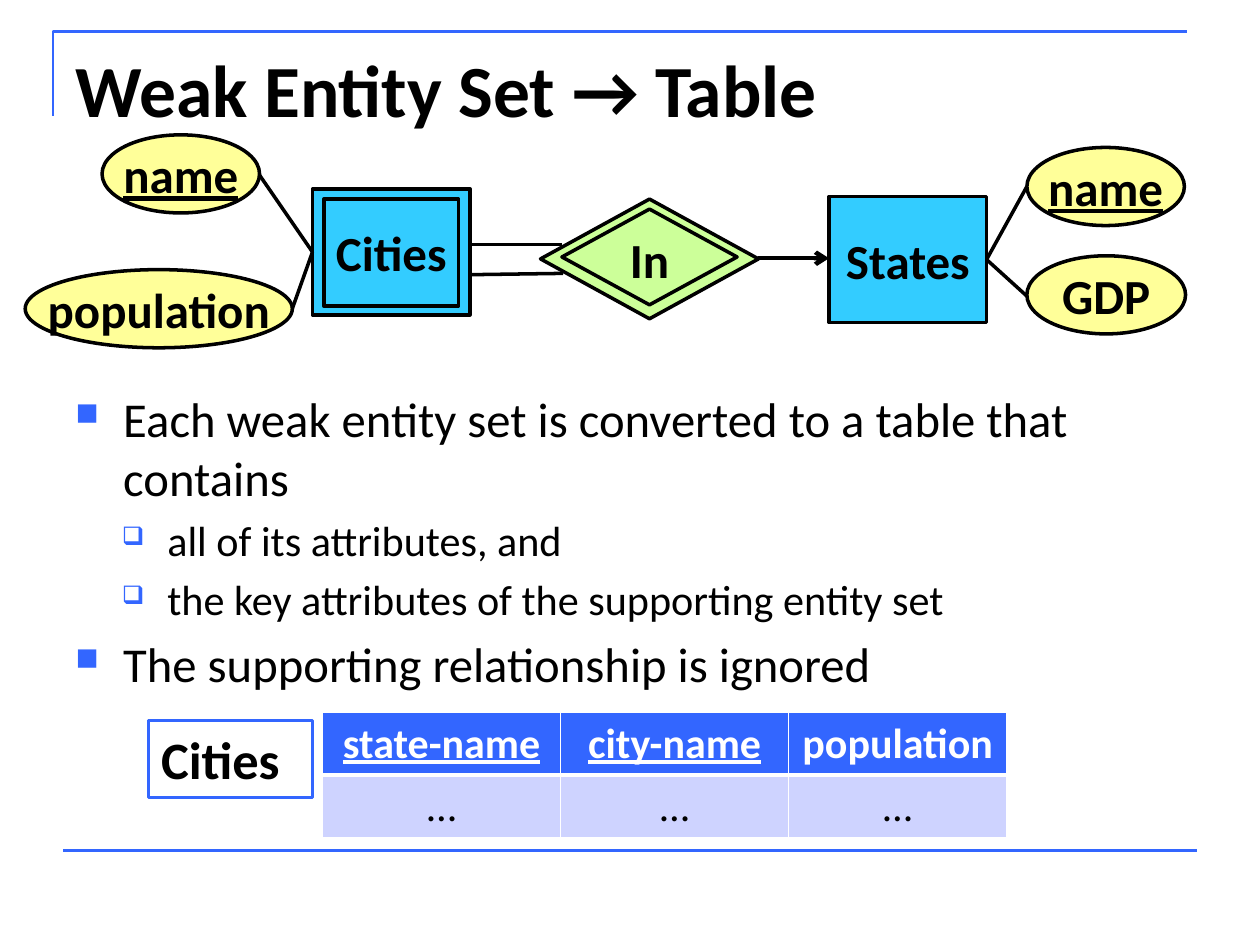
"""Build the slide on converting a weak entity set to a table."""
from lxml.etree import SubElement
from pptx import Presentation
from pptx.dml.color import RGBColor
from pptx.enum.shapes import MSO_CONNECTOR, MSO_SHAPE
from pptx.enum.text import MSO_ANCHOR, PP_ALIGN
from pptx.oxml.ns import qn
from pptx.util import Inches, Pt

BLUE, BLACK, WHITE = "3366FF", "000000", "FFFFFF"
CYAN, YELLOW, GREEN, LAVENDER = "33CCFF", "FFFF99", "CCFF99", "CED3FF"
FONT = "Calibri"

TITLE = "Weak Entity Set → Table"
BULLETS = [
    (0, "Each weak entity set is converted to a table that contains"),
    (1, "all of its attributes, and"),
    (1, "the key attributes of the supporting entity set"),
    (0, "The supporting relationship is ignored"),
]
LEVELS = [
    dict(mark="■", mark_size=65, left=0.38, hang=0.38, size=27.8, before=5.6),
    dict(mark="❑", mark_size=60, left=0.73, hang=0.36, size=24.1, before=4.8),
]
RECT, OVAL, DIAMOND = MSO_SHAPE.RECTANGLE, MSO_SHAPE.OVAL, MSO_SHAPE.DIAMOND
DIAGRAM = [
    (RECT, (2.48, 1.5, 1.25, 1), CYAN, "Cities", False),
    (OVAL, (0.81, 1.07, 1.25, 0.62), YELLOW, "name", True),
    (OVAL, (0.2, 2.14, 2.12, 0.62), YELLOW, "population", False),
    (RECT, (2.57, 1.58, 1.07, 0.85), None, "", False),
    (RECT, (6.58, 1.56, 1.25, 1), CYAN, "States", False),
    (OVAL, (8.15, 1.17, 1.25, 0.62), YELLOW, "name", True),
    (OVAL, (8.15, 2.03, 1.26, 0.62), YELLOW, "GDP", False),
    (DIAMOND, (4.29, 1.58, 1.73, 0.95), GREEN, "In", False),
    (DIAMOND, (4.46, 1.66, 1.39, 0.76), None, "", False),
]
LINKS = [
    (2.06, 1.39, 2.48, 2),
    (2.32, 2.45, 2.48, 2),
    (8.15, 1.48, 7.83, 2.06),
    (8.15, 2.35, 7.83, 2.06),
    (3.73, 1.94, 4.46, 1.94),
    (3.74, 2.18, 4.47, 2.17),
]
COLUMNS = [("state-name", 1.89, True), ("city-name", 1.81, True), ("population", 1.73, False)]
ROW_HEIGHT = 0.5


def color(value):
    return RGBColor.from_string(value)


def style(paragraph, size, ink=BLACK, bold=False, underline=False):
    font = paragraph.font
    font.name, font.size, font.bold = FONT, Pt(size), bold
    font.underline = underline
    font.color.rgb = color(ink)


def add_text_box(slide, box):
    frame = slide.shapes.add_textbox(*map(Inches, box)).text_frame
    frame.word_wrap = True
    return frame


def add_box(slide, kind, box, fill, outline=BLACK):
    shape = slide.shapes.add_shape(kind, *map(Inches, box))
    shape.shadow.inherit = False
    if fill:
        shape.fill.solid()
        shape.fill.fore_color.rgb = color(fill)
    else:
        shape.fill.background()
    shape.line.color.rgb = color(outline)
    shape.line.width = Pt(2)
    return shape


def add_line(slide, ends, ink=BLACK, width=2, arrow=False):
    line = slide.shapes.add_connector(MSO_CONNECTOR.STRAIGHT, *map(Inches, ends))
    line.line.color.rgb = color(ink)
    line.line.width = Pt(width)
    if arrow:
        SubElement(line.line._get_or_add_ln(), qn("a:tailEnd"), type="arrow")
    SubElement(line._element.spPr, qn("a:effectLst"))


def add_frame(slide):
    builder = slide.shapes.build_freeform(Inches(0.42), Inches(0.92))
    corner = [(Inches(0.42), Inches(0.25)), (Inches(9.42), Inches(0.25))]
    builder.add_line_segments(corner, close=False)
    bracket = builder.convert_to_shape()
    bracket.shadow.inherit = False
    bracket.fill.background()
    bracket.line.color.rgb = color(BLUE)
    bracket.line.width = Pt(1.5)
    add_line(slide, (0.5, 6.75, 9.5, 6.75), BLUE, 1.5)


def add_bullets(slide):
    frame = add_text_box(slide, (0.5, 3.04, 9, 2.36))
    for index, (depth, wording) in enumerate(BULLETS):
        level = LEVELS[depth]
        paragraph = frame.add_paragraph() if index else frame.paragraphs[0]
        paragraph.text = wording
        paragraph.level = depth
        props = paragraph._p.get_or_add_pPr()
        props.set("marL", str(Inches(level["left"])))
        props.set("indent", str(-Inches(level["hang"])))
        SubElement(SubElement(props, qn("a:buClr")), qn("a:srgbClr"), val=BLUE)
        SubElement(props, qn("a:buSzPct"), val=str(level["mark_size"] * 1000))
        SubElement(props, qn("a:buChar"), char=level["mark"])
        paragraph.space_before = Pt(level["before"] if index else 0)
        style(paragraph, level["size"])


def add_diagram(slide):
    for kind, box, fill, label, is_key in DIAGRAM:
        frame = add_box(slide, kind, box, fill).text_frame
        if label:
            frame.word_wrap = False
            frame.vertical_anchor = MSO_ANCHOR.MIDDLE
            frame.text = label
            frame.paragraphs[0].alignment = PP_ALIGN.CENTER
            style(frame.paragraphs[0], 28, bold=True, underline=is_key)
    for ends in LINKS:
        add_line(slide, ends)
    add_line(slide, (6.02, 2.05, 6.58, 2.05), width=2.5, arrow=True)


def set_cell(cell, wording, fill, ink, bold, underline, bottom):
    props = cell._tc.get_or_add_tcPr()
    for side, width in (("L", 1), ("R", 1), ("T", 1), ("B", bottom)):
        border = SubElement(props, qn(f"a:ln{side}"), w=str(Pt(width)))
        SubElement(SubElement(border, qn("a:solidFill")), qn("a:srgbClr"), val=WHITE)
    cell.fill.solid()
    cell.fill.fore_color.rgb = color(fill)
    cell.text = wording
    paragraph = cell.text_frame.paragraphs[0]
    paragraph.alignment = PP_ALIGN.CENTER
    style(paragraph, 24, ink, bold, underline)


def add_cities_table(slide):
    total = sum(width for _, width, _ in COLUMNS)
    box = (2.56, 5.65, total, 2 * ROW_HEIGHT)
    table = slide.shapes.add_table(2, len(COLUMNS), *map(Inches, box)).table
    for row in table.rows:
        row.height = Inches(ROW_HEIGHT)
    for index, (heading, width, is_key) in enumerate(COLUMNS):
        table.columns[index].width = Inches(width)
        set_cell(table.cell(0, index), heading, BLUE, WHITE, True, is_key, 3)
        set_cell(table.cell(1, index), "…", LAVENDER, BLACK, False, False, 1)
    caption = add_box(slide, RECT, (1.18, 5.72, 1.3, 0.61), WHITE, BLUE).text_frame
    caption.vertical_anchor = MSO_ANCHOR.TOP
    caption.text = "Cities"
    caption.paragraphs[0].alignment = PP_ALIGN.LEFT
    style(caption.paragraphs[0], 30, bold=True)


def main():
    deck = Presentation()
    deck.slide_width, deck.slide_height = Inches(10), Inches(7.5)
    slide = deck.slides.add_slide(deck.slide_layouts[6])
    add_frame(slide)
    title = add_text_box(slide, (0.5, 0.3, 9, 1.25))
    title.text = TITLE
    style(title.paragraphs[0], 42, bold=True)
    add_bullets(slide)
    add_diagram(slide)
    add_cities_table(slide)
    deck.save("out.pptx")


if __name__ == "__main__":
    main()
